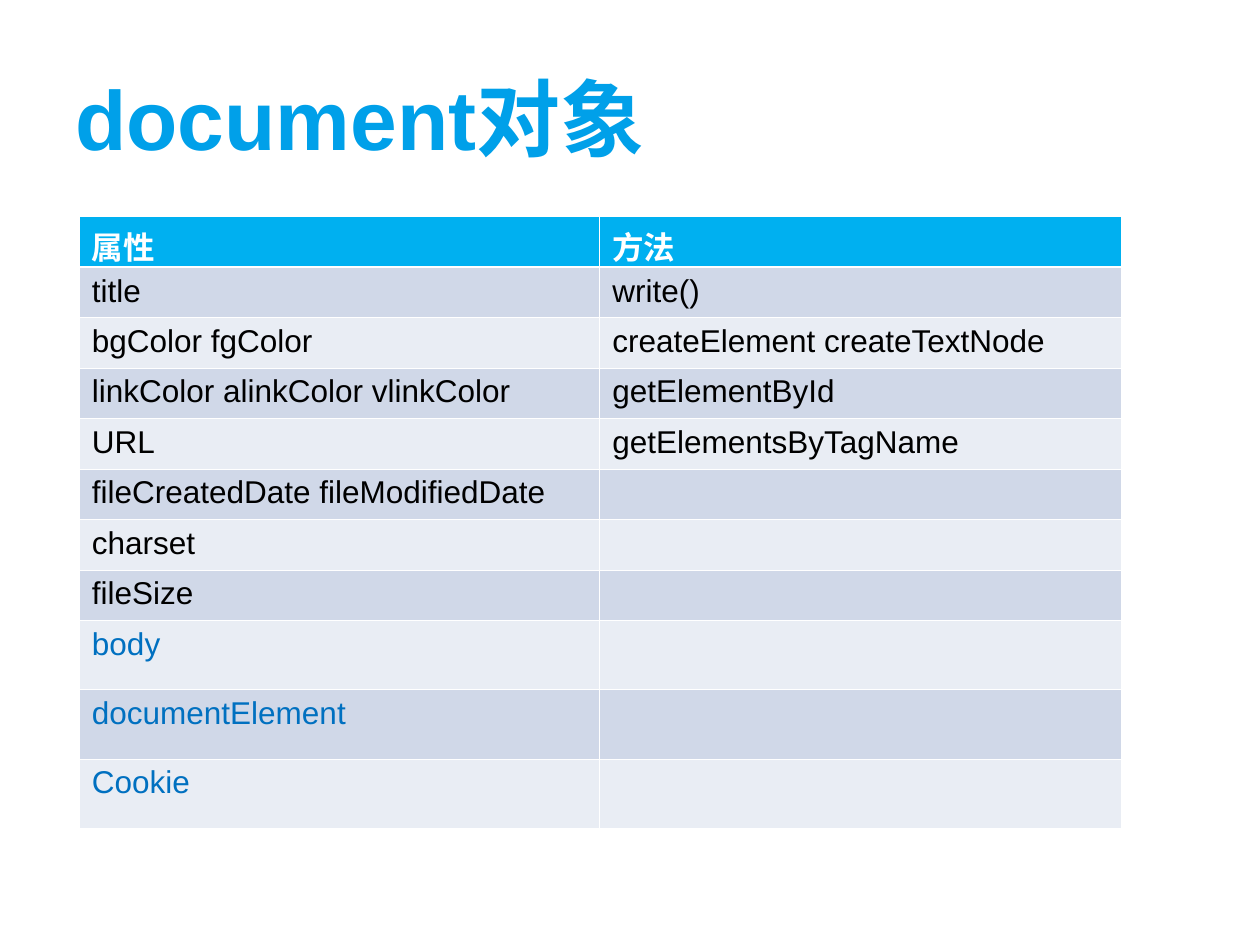
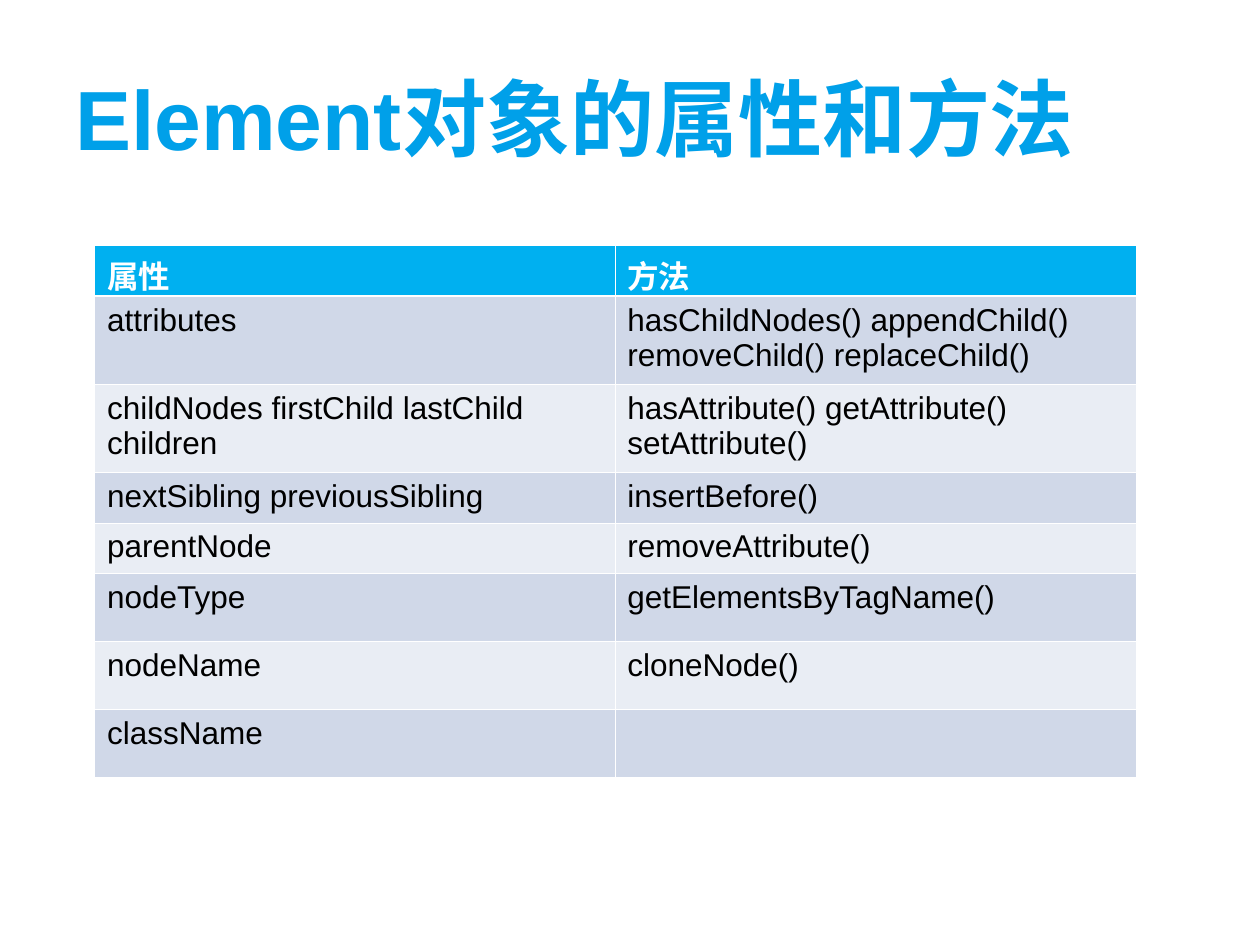
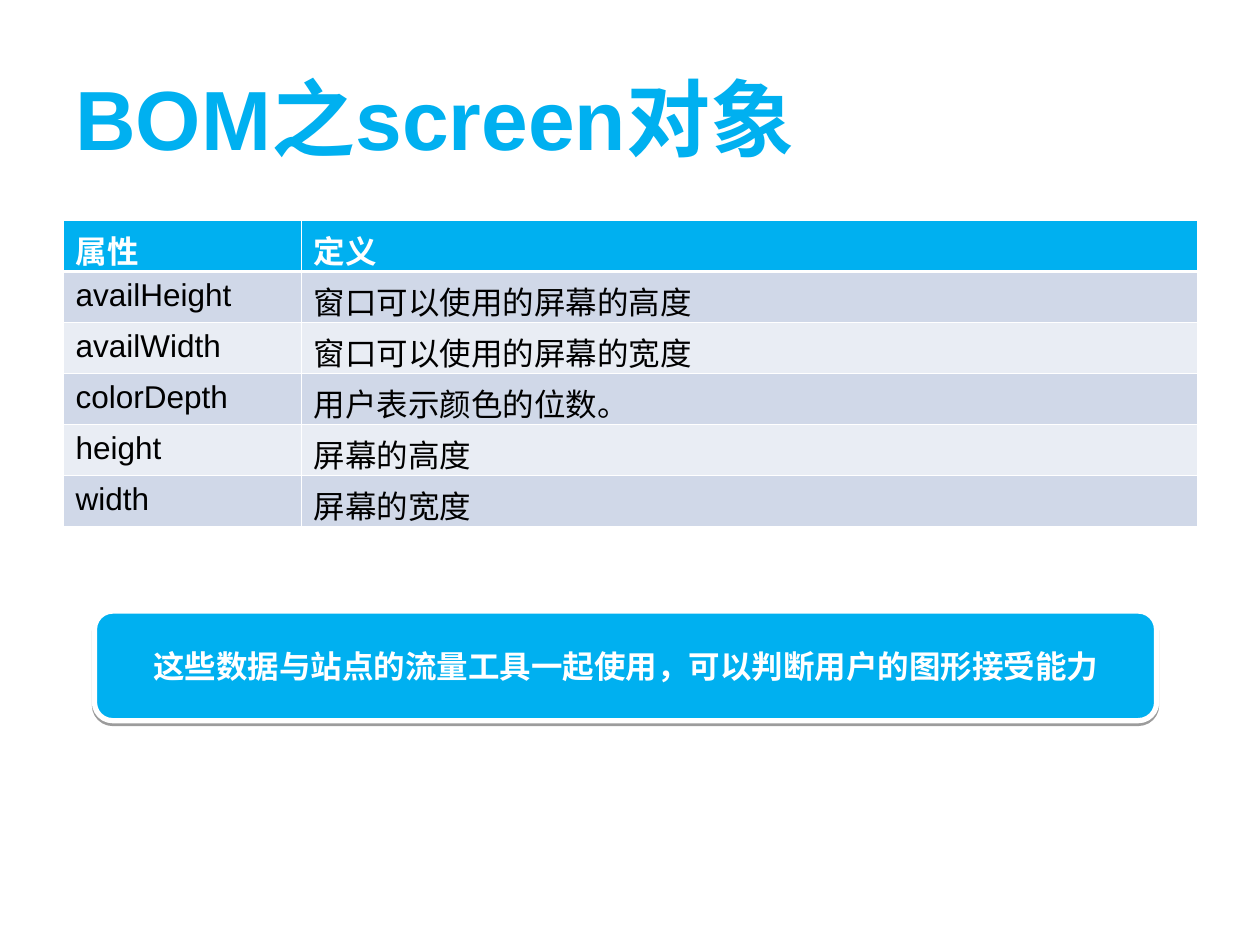
from lxml import etree
from pptx import Presentation
from pptx.dml.color import RGBColor
from pptx.enum.shapes import MSO_SHAPE
from pptx.enum.text import MSO_ANCHOR, PP_ALIGN
from pptx.oxml import parse_xml
from pptx.oxml.ns import nsdecls
from pptx.util import Inches, Pt

MIDDLE = MSO_ANCHOR.MIDDLE
CENTER = PP_ALIGN.CENTER
ROUNDED = MSO_SHAPE.ROUNDED_RECTANGLE

# Shared colours and text formats
TITLE_BLUE = RGBColor(0x00, 0xA0, 0xE9)
BRIGHT_BLUE = RGBColor(0x00, 0xB0, 0xF0)
LINK_BLUE = RGBColor(0x00, 0x70, 0xC0)
DARK_BAND = RGBColor(0xD0, 0xD8, 0xE8)
LIGHT_BAND = RGBColor(0xE9, 0xED, 0xF4)
WHITE = RGBColor(0xFF, 0xFF, 0xFF)
BLACK = RGBColor(0x00, 0x00, 0x00)

TITLE_FORMAT = {"name": "Arial", "size": Pt(48), "bold": True}
HEADER_FORMAT = {"name": "Arial", "size": Pt(18), "bold": True}
BODY_FORMAT = {"name": "Arial", "size": Pt(18), "bold": False}
THIN, THICK = Pt(0.45), Pt(1.47)

# Content of each slide
pages = [
    {
        "title": "document对象", "title_color": TITLE_BLUE,
        "left": 0.63, "top": 1.72, "columns": [4.13, 4.14],
        "heights": [0.4] * 8 + [0.55] * 3,
        "highlighted": ["body", "documentElement", "Cookie"],
        "rows": [
            ("属性", "方法"),
            ("title", "write()"),
            ("bgColor fgColor", "createElement createTextNode"),
            ("linkColor alinkColor vlinkColor", "getElementById"),
            ("URL", "getElementsByTagName"),
            ("fileCreatedDate fileModifiedDate", ""),
            ("charset", ""),
            ("fileSize", ""),
            ("body", ""),
            ("documentElement", ""),
            ("Cookie", ""),
        ],
    },
    {
        "title": "Element对象的属性和方法", "title_color": TITLE_BLUE,
        "left": 0.75, "top": 1.95, "columns": [4.13, 4.14],
        "heights": [0.4] + [0.7] * 2 + [0.4] * 2 + [0.54] * 3,
        "highlighted": [],
        "rows": [
            ("属性", "方法"),
            ("attributes", "hasChildNodes() appendChild() removeChild() replaceChild()"),
            ("childNodes firstChild lastChild children",
             "hasAttribute() getAttribute() setAttribute()"),
            ("nextSibling previousSibling", "insertBefore()"),
            ("parentNode", "removeAttribute()"),
            ("nodeType", "getElementsByTagName()"),
            ("nodeName", "cloneNode()"),
            ("className", ""),
        ],
    },
    {
        "title": "BOM之screen对象", "title_color": BRIGHT_BLUE,
        "left": 0.5, "top": 1.75, "columns": [1.89, 7.11],
        "heights": [0.405] * 6,
        "highlighted": [],
        "rows": [
            ("属性", "定义"),
            ("availHeight", "窗口可以使用的屏幕的高度"),
            ("availWidth", "窗口可以使用的屏幕的宽度"),
            ("colorDepth", "用户表示颜色的位数。"),
            ("height", "屏幕的高度"),
            ("width", "屏幕的宽度"),
        ],
    },
]


def write_text(frame, text, text_format, color):
    para = frame.paragraphs[0]
    span = para.add_run()
    span.text = text
    for name, value in text_format.items():
        setattr(span.font, name, value)
    span.font.color.rgb = color
    return para


def add_borders(cell, top, bottom):
    properties = cell._tc.get_or_add_tcPr()
    sides = {"lnL": THIN, "lnR": THIN, "lnT": top, "lnB": bottom}
    for position, (side, width) in enumerate(sides.items()):
        border = parse_xml(
            f'<a:{side} {nsdecls("a")} w="{int(width)}"><a:solidFill>'
            f'<a:srgbClr val="{WHITE}"/></a:solidFill></a:{side}>')
        properties.insert(position, border)


deck = Presentation()
deck.slide_width, deck.slide_height = Inches(10), Inches(7.5)
blank_layout = deck.slide_layouts[6]

for content in pages:
    page = deck.slides.add_slide(blank_layout)

    # Title
    title_box = page.shapes.add_textbox(Inches(0.5), Inches(0.3), Inches(9), Inches(1.25))
    title_box.text_frame.word_wrap = True
    title_box.text_frame.vertical_anchor = MIDDLE
    write_text(title_box.text_frame, content["title"], TITLE_FORMAT, content["title_color"])

    # Table
    rows, columns, heights = content["rows"], content["columns"], content["heights"]
    table = page.shapes.add_table(
        len(rows), len(columns), Inches(content["left"]), Inches(content["top"]),
        Inches(sum(columns)), Inches(sum(heights))).table
    for column, width in zip(table.columns, columns):
        column.width = Inches(width)
    for row_index, (row, height) in enumerate(zip(rows, heights)):
        table.rows[row_index].height = Inches(height)
        is_header = row_index == 0
        band = BRIGHT_BLUE if is_header else DARK_BAND if row_index % 2 else LIGHT_BAND
        for column_index, text in enumerate(row):
            cell = table.cell(row_index, column_index)
            cell.fill.solid()
            cell.fill.fore_color.rgb = band
            add_borders(cell, THICK if row_index == 1 else THIN, THICK if is_header else THIN)
            if text:
                color = (WHITE if is_header
                         else LINK_BLUE if text in content["highlighted"] else BLACK)
                write_text(cell.text_frame, text,
                           HEADER_FORMAT if is_header else BODY_FORMAT, color)

# Callout under the screen table
callout = page.shapes.add_shape(ROUNDED, Inches(0.75), Inches(4.85), Inches(8.43), Inches(0.87))
callout.fill.solid()
callout.fill.fore_color.rgb = BRIGHT_BLUE
callout.line.color.rgb = WHITE
callout.line.width = Pt(3)
callout.shadow.inherit = False
effects = callout._element.spPr.find("{*}effectLst")
shadow = etree.SubElement(
    effects, effects.tag.replace("effectLst", "outerShdw"),
    dist=str(int(Pt(1.6))), dir="5400000", rotWithShape="0")
shadow.append(parse_xml(
    f'<a:srgbClr {nsdecls("a")} val="{BLACK}"><a:alpha val="38000"/></a:srgbClr>'))
callout.text_frame.word_wrap = True
callout.text_frame.vertical_anchor = MIDDLE
para = write_text(callout.text_frame,
                  "这些数据与站点的流量工具一起使用，可以判断用户的图形接受能力",
                  HEADER_FORMAT, WHITE)
para.alignment = CENTER

deck.save("out.pptx")
